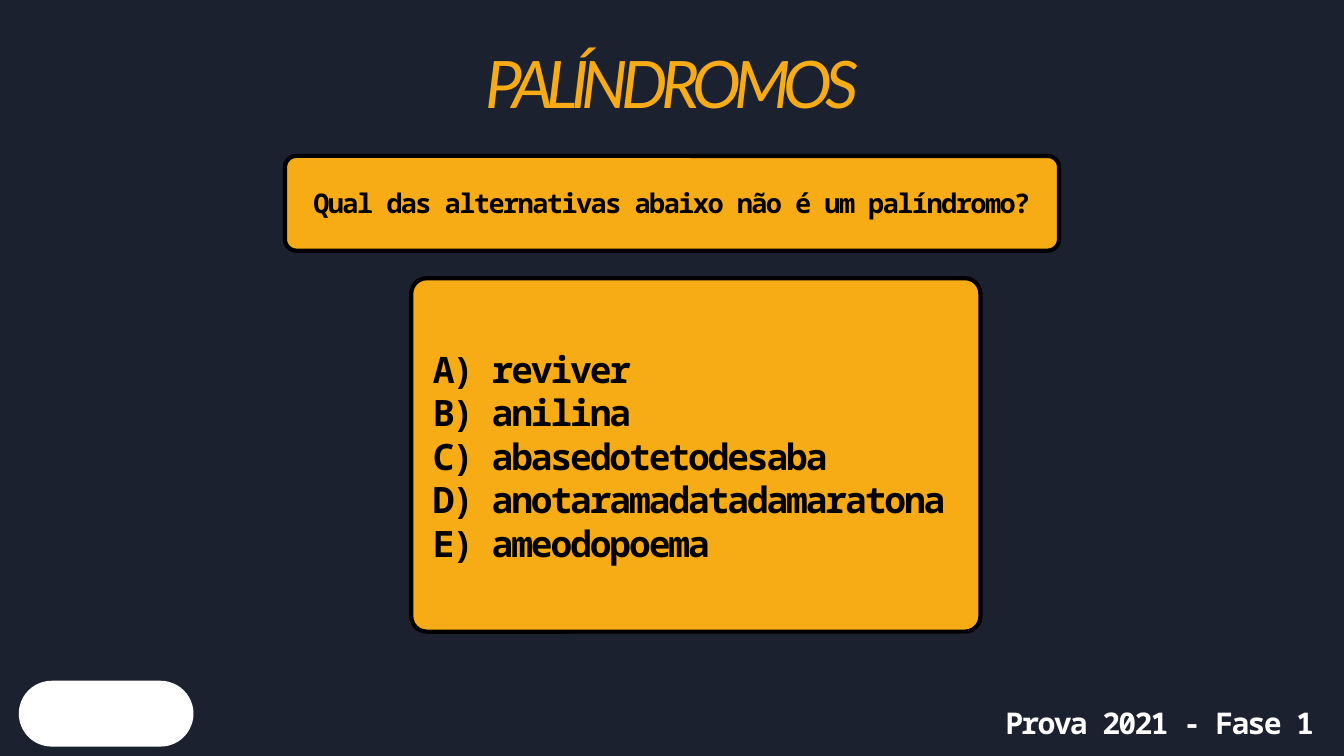
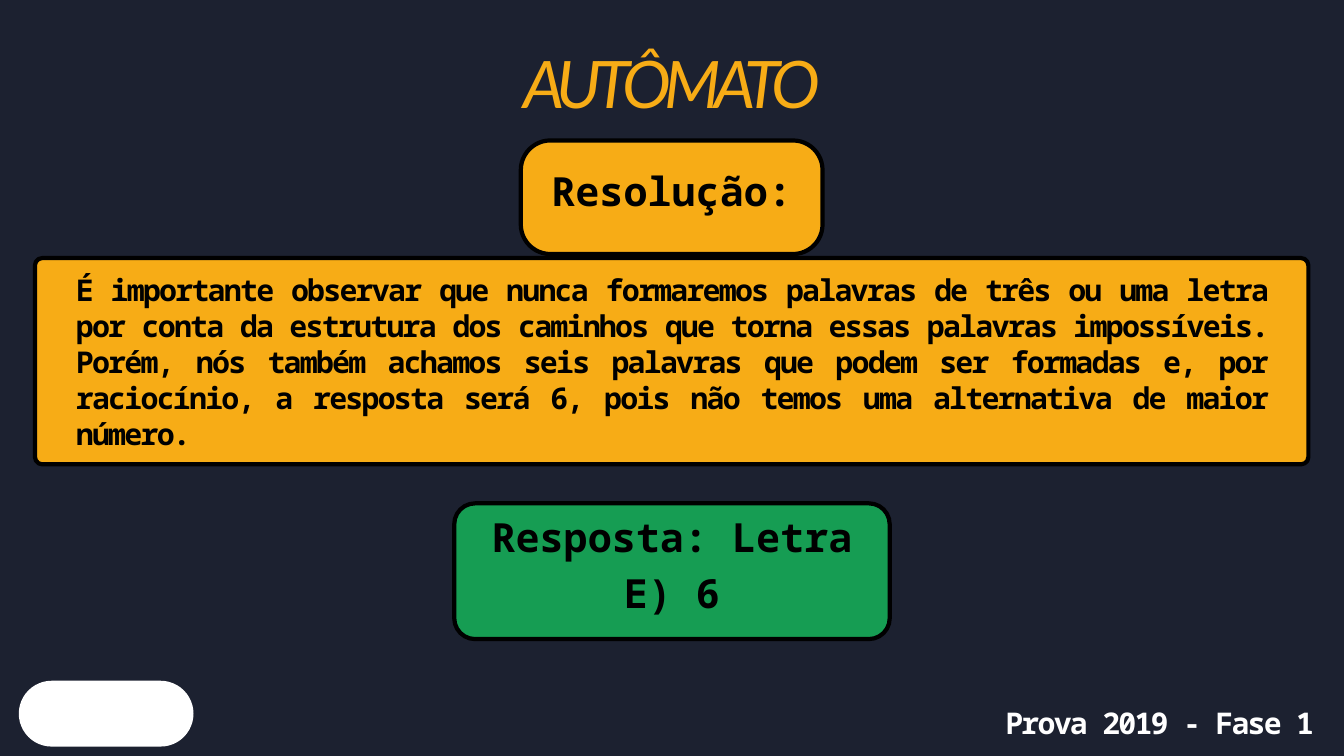
import pptx
import pptx.util
import pptx.dml.color
import pptx.enum.shapes
import pptx.enum.text

Inches = pptx.util.Inches
Pt = pptx.util.Pt
RGBColor = pptx.dml.color.RGBColor
ALIGN = pptx.enum.text.PP_ALIGN
ANCHOR = pptx.enum.text.MSO_ANCHOR

NAVY = RGBColor(0x1C, 0x21, 0x30)
AMBER = RGBColor(0xF7, 0xAC, 0x16)
GREEN = RGBColor(0x16, 0x9D, 0x53)
WHITE = RGBColor(0xFF, 0xFF, 0xFF)
BLACK = RGBColor(0, 0, 0)
TITLE_FONT = "Lato"
BODY_FONT = "Noto Sans Mono"


def add_panel(s, box, radius, fill, outlined=True):
    """Rounded rectangle; box and corner radius are in inches."""
    sp = s.shapes.add_shape(pptx.enum.shapes.MSO_SHAPE.ROUNDED_RECTANGLE,
                            *[Inches(v) for v in box])
    sp.adjustments[0] = radius / min(box[2:])
    sp.shadow.inherit = False
    sp.fill.solid()
    sp.fill.fore_color.rgb = fill
    if outlined:
        sp.line.color.rgb = BLACK
        sp.line.width = Pt(4.5)
    else:
        sp.line.fill.background()


def add_text(s, box, lines, size, leading, align, color=BLACK, spacing=0,
             font=BODY_FONT, title=False, inset=0, anchor=ANCHOR.TOP):
    """Text box with one paragraph per line; leading and spacing in points."""
    tf = s.shapes.add_textbox(*[Inches(v) for v in box]).text_frame
    tf.word_wrap = True
    tf.vertical_anchor = anchor
    tf.margin_left = tf.margin_right = Inches(inset)
    tf.margin_top = tf.margin_bottom = Inches(inset)
    for i, line in enumerate(lines):
        p = tf.paragraphs[0] if i == 0 else tf.add_paragraph()
        p.alignment = align
        p.line_spacing = Pt(leading)
        r = p.add_run()
        r.text = line
        r.font.name = font
        r.font.size = Pt(size)
        r.font.bold = not title
        r.font.italic = title
        r.font.color.rgb = color
        if spacing:
            r.font._element.set("spc", str(round(spacing * 100)))


prs = pptx.Presentation()
prs.slide_width = Inches(20)
prs.slide_height = Inches(11.25)

# Shared frame: background, badge, title and exam footer
slides = []
for title, year in [("PALÍNDROMOS", 2021), ("AUTÔMATO", 2019)]:
    s = prs.slides.add_slide(prs.slide_layouts[6])
    s.background.fill.solid()
    s.background.fill.fore_color.rgb = NAVY
    add_panel(s, (0.28, 10.13, 2.6, 0.98), 0.49, WHITE, outlined=False)
    add_text(s, (1.35, 0.47, 17.3, 1.44), [title], 70.1, 96.8, ALIGN.CENTER,
             AMBER, -7.2, TITLE_FONT, title=True)
    add_text(s, (14.96, 10.48, 4.83, 0.53), [f"Prova {year} - Fase 1"],
             32, 38.4, ALIGN.JUSTIFY, WHITE, -1.9)
    slides.append(s)
question_slide, solution_slide = slides

# Question and its alternatives
add_panel(question_slide, (4.24, 2.32, 11.52, 1.41), 0.17, AMBER)
add_text(question_slide, (3.92, 2.78, 12.16, 0.48),
         ["Qual das alternativas abaixo não é um palíndromo?"],
         28.9, 34.7, ALIGN.CENTER, spacing=-1.7)

words = ["reviver", "anilina", "abasedotetodesaba",
         "anotaramadatadamaratona", "ameodopoema"]
add_panel(question_slide, (6.12, 4.14, 8.47, 5.26), 0.23, AMBER)
add_text(question_slide, (6.44, 5.16, 7.82, 3.22),
         [f"{letter}) {word}" for letter, word in zip("ABCDE", words)],
         38.9, 46.7, ALIGN.LEFT, spacing=-2.3)

# Solution: heading and answer labels around the explanation
labels = [("Resolução:", 7.75, 2.09, 4.49, 1.69, 0.44, AMBER),
          ("Resposta: Letra E) 6", 6.76, 7.49, 6.48, 2.02, 0.31, GREEN)]
rise = 0.31  # label text boxes start above their panels
for label, x, y, w, h, radius, fill in labels:
    add_panel(solution_slide, (x, y, w, h), radius, fill)
    add_text(solution_slide, (x, y - rise, w, h + rise), [label], 43, 60.2,
             ALIGN.CENTER, inset=0.04, anchor=ANCHOR.MIDDLE)

add_panel(solution_slide, (0.52, 3.84, 18.95, 3.07), 0.11, AMBER)
add_text(solution_slide, (1.13, 4.04, 17.73, 2.67),
         ["É importante observar que nunca formaremos palavras de três ou uma "
          "letra por conta da estrutura dos caminhos que torna essas palavras "
          "impossíveis. Porém, nós também achamos seis palavras que podem ser "
          "formadas e, por raciocínio, a resposta será 6, pois não temos uma "
          "alternativa de maior número."],
         32.1, 38.6, ALIGN.JUSTIFY, spacing=-1.9)

prs.save("out.pptx")
